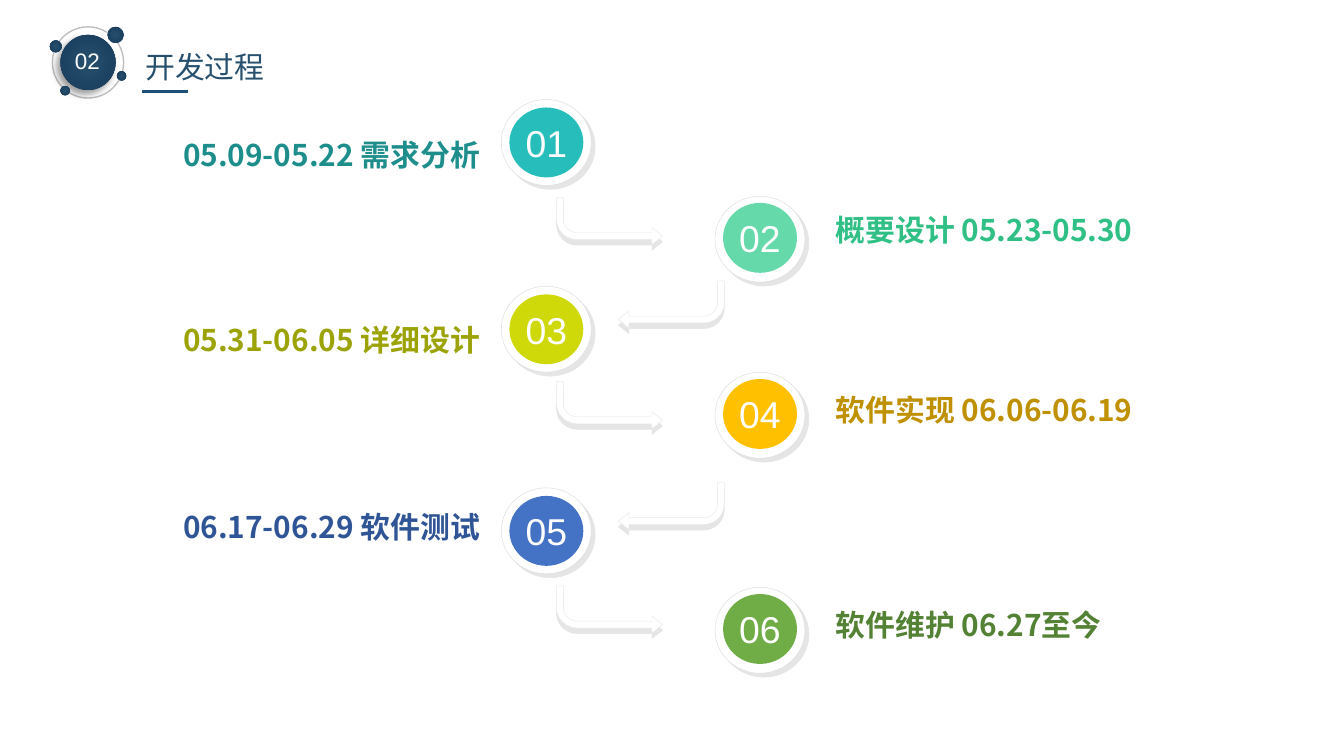
from lxml.etree import SubElement
from pptx import Presentation
from pptx.dml.color import RGBColor
from pptx.enum.shapes import MSO_CONNECTOR, MSO_SHAPE
from pptx.enum.text import MSO_ANCHOR, MSO_AUTO_SIZE, PP_ALIGN
from pptx.oxml.ns import qn
from pptx.util import Pt

PX = 9144  # 100 px to the inch
SLIDE_WIDTH = 1000
LATIN_FONT = "Arial"
LABEL_FONT = "Noto Sans CJK SC"
COLORS = {
    "white": "FFFFFF", "title": "27506E", "badge_edge": "173A5B",
    "underline": "1F4E79", "orbit": "BFBFBF", "ring": "DDDDDD",
    "arrow": "EAEAEA", "shadow": "000000",
}

TITLE = "开发过程"
SECTION = "02"
# number, label, circle colour, label colour, ring top, label top
STEPS = [
    ("01", "05.09-05.22 需求分析", "27BDBA", "1D8E8C", 74, 96),
    ("02", "概要设计 05.23-05.30", "66D9AB", "30C086", 146, 152),
    ("03", "05.31-06.05 详细设计", "CFD90A", "9BA307", 213, 234),
    ("04", "软件实现 06.06-06.19", "FFC000", "BF9000", 277, 286),
    ("05", "06.17-06.29 软件测试", "4472C4", "2F5597", 363, 373),
    ("06", "软件维护 06.27至今", "70AD47", "548235", 437, 446),
]
ARROW_TOPS = [147, 209, 284, 359, 436]
ARROW_ADJUSTMENTS = [0.146, 0.178, 0.226, 0.438]
# left, top, diameter
BADGE = (45, 26, 41)
SATELLITES = [(80, 20, 12), (37, 30, 9), (45, 64, 7), (87, 53, 7)]
SIDES = [
    {"ring": 373, "label": 135, "align": PP_ALIGN.RIGHT, "arrow": 414, "inset": 6},
    {"ring": 532, "label": 612, "align": PP_ALIGN.LEFT, "arrow": 460, "inset": 5},
]


def emu(*lengths):
    return [length * PX for length in lengths]


def rgb(name):
    return RGBColor.from_string(COLORS.get(name, name))


def add_shape(kind, box, fill=None, line=None, line_width=0.25):
    shape = slide.shapes.add_shape(kind, *emu(*box))
    shape.shadow.inherit = False
    if fill:
        shape.fill.solid()
        shape.fill.fore_color.rgb = rgb(fill)
    else:
        shape.fill.background()
    if line:
        shape.line.color.rgb = rgb(line)
        shape.line.width = Pt(line_width)
    else:
        shape.line.fill.background()
    return shape


def add_shadow(shape, direction, alpha=10, blur=0):
    effects = shape._element.spPr.find(qn("a:effectLst"))
    shadow = SubElement(effects, qn("a:outerShdw"), blurRad=str(Pt(blur)),
                        dist=str(Pt(3)), dir=str(direction * 60000),
                        algn="ctr", rotWithShape="0")
    color = SubElement(shadow, qn("a:srgbClr"), val=COLORS["shadow"])
    SubElement(color, qn("a:alpha"), val=str(alpha * 1000))


def add_navy_ball(left, top, diameter):
    """Add a circle with a gradient that runs out from its centre."""
    ball = add_shape(MSO_SHAPE.OVAL, (left, top, diameter, diameter))
    ball.fill.gradient()
    for stop, name in zip(ball.fill.gradient_stops, ("title", "badge_edge")):
        stop.color.rgb = rgb(name)
    gradient = ball._element.spPr.find(qn("a:gradFill"))
    gradient.remove(gradient.find(qn("a:lin")))
    radial = SubElement(gradient, qn("a:path"), path="circle")
    SubElement(radial, qn("a:fillToRect"), l="50000", t="50000", r="50000", b="50000")
    return ball


def set_text(shape, text, size, color, font=LATIN_FONT, bold=False,
             align=PP_ALIGN.LEFT, anchor=MSO_ANCHOR.MIDDLE):
    frame = shape.text_frame
    frame.text = text
    frame.word_wrap = False
    frame.auto_size = MSO_AUTO_SIZE.NONE
    frame.vertical_anchor = anchor
    paragraph = frame.paragraphs[0]
    paragraph.alignment = align
    run = paragraph.runs[0]
    run.font.size = Pt(size)
    run.font.bold = bold
    run.font.color.rgb = rgb(color)
    run.font.name = font
    SubElement(run._r.rPr, qn("a:ea"), typeface=font)


def add_text(box, *args, **options):
    set_text(slide.shapes.add_textbox(*emu(*box)), *args, **options)


def add_header():
    add_shape(MSO_SHAPE.OVAL, (39, 20, 53, 53), line="orbit", line_width=0.75)
    add_shadow(add_navy_ball(*BADGE), 135, alpha=40, blur=4)
    for satellite in SATELLITES:
        add_navy_ball(*satellite)
    add_text((46, 30, 40, 30), SECTION, 12, "white")

    title = slide.shapes.title
    title.left, title.top, title.width, title.height = emu(98, 31, 109, 37)
    set_text(title, TITLE, 16, "title", align=PP_ALIGN.CENTER, anchor=MSO_ANCHOR.TOP)

    underline = slide.shapes.add_connector(MSO_CONNECTOR.STRAIGHT, *emu(106, 68, 140, 68))
    underline.line.color.rgb = rgb("underline")
    underline.line.width = Pt(1.5)
    SubElement(underline._element.spPr, qn("a:effectLst"))


def add_arrow(top, side, points_left):
    arrow = add_shape(MSO_SHAPE.BENT_ARROW, (side["arrow"], top, 79, 35), "white", "arrow")
    for index, value in enumerate(ARROW_ADJUSTMENTS):
        arrow.adjustments[index] = value
    transform = arrow._element.spPr.xfrm
    transform.set("flipV", "1")
    if points_left:
        transform.set("flipH", "1")
    add_shadow(arrow, 90)


def add_step(step, side):
    number, label, fill, label_color, ring_top, label_top = step
    ring = add_shape(MSO_SHAPE.OVAL, (side["ring"], ring_top, 67, 64), "white", "ring")
    add_shadow(ring, 45)
    circle_box = (side["ring"] + 6, ring_top + side["inset"], 55, 52)
    circle = add_shape(MSO_SHAPE.OVAL, circle_box, fill)
    set_text(circle, number, 20, "white", align=PP_ALIGN.CENTER)
    frame = circle.text_frame
    frame.margin_left = frame.margin_right = frame.margin_top = frame.margin_bottom = 0
    add_text((side["label"], label_top, 232, 37), label, 16, label_color,
             font=LABEL_FONT, bold=True, align=side["align"], anchor=MSO_ANCHOR.BOTTOM)


presentation = Presentation()
presentation.slide_width = SLIDE_WIDTH * PX
presentation.slide_height = SLIDE_WIDTH * PX * 9 // 16
slide = presentation.slides.add_slide(presentation.slide_layouts[5])

add_header()
for index, top in enumerate(ARROW_TOPS):
    add_arrow(top, SIDES[index % 2], points_left=index % 2 == 1)
for index, step in enumerate(STEPS):
    add_step(step, SIDES[index % 2])

presentation.save("out.pptx")
